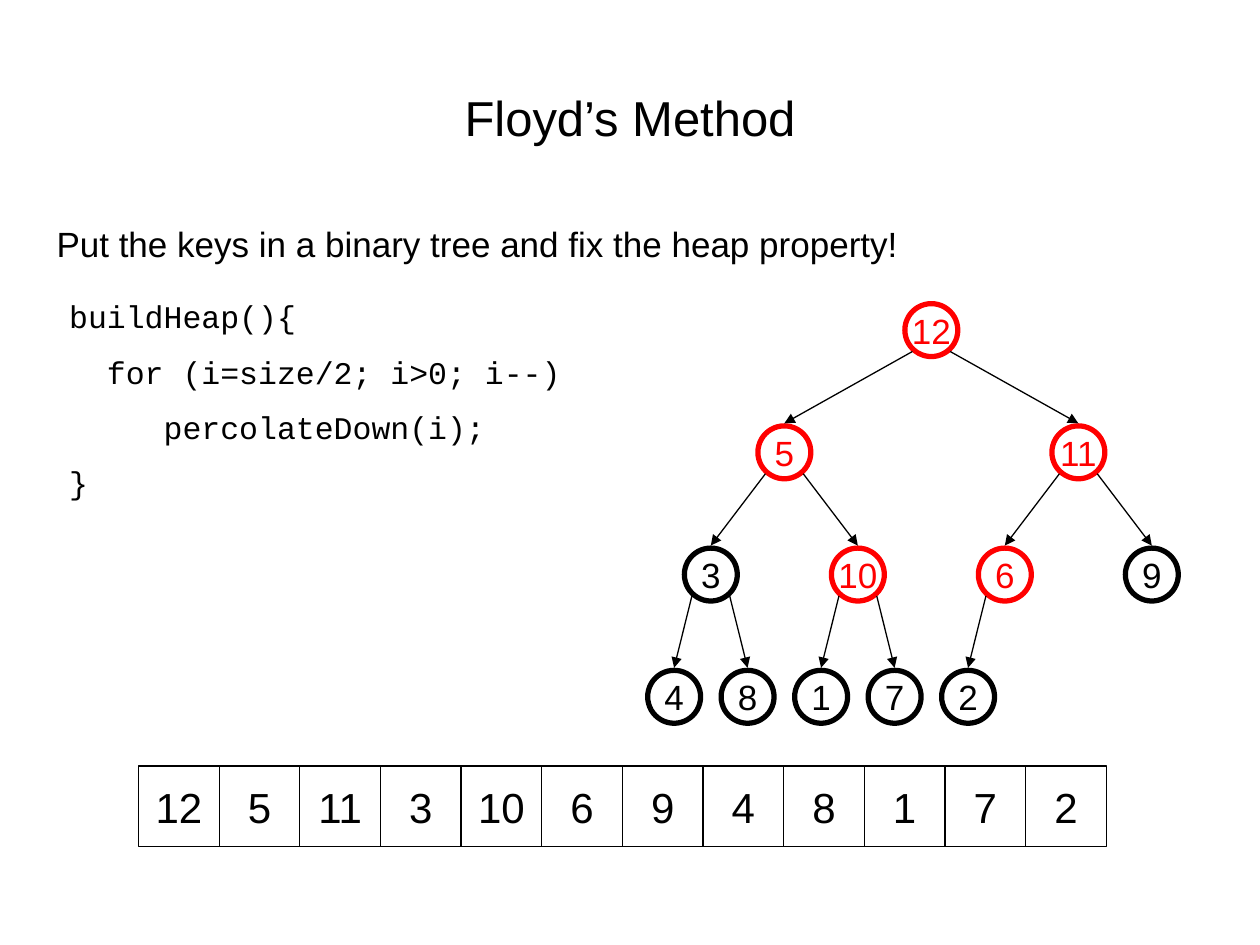
from lxml import etree
from pptx import Presentation
from pptx.dml.color import RGBColor
from pptx.enum.shapes import MSO_CONNECTOR, MSO_SHAPE
from pptx.enum.text import MSO_ANCHOR, PP_ALIGN
from pptx.oxml.ns import qn
from pptx.util import Inches, Pt

CENTER, LEFT = PP_ALIGN.CENTER, PP_ALIGN.LEFT
MIDDLE, TOP = MSO_ANCHOR.MIDDLE, MSO_ANCHOR.TOP
RECTANGLE, OVAL = MSO_SHAPE.RECTANGLE, MSO_SHAPE.OVAL
STRAIGHT = MSO_CONNECTOR.STRAIGHT

TITLE = "Floyd’s Method"
INTRO = "Put the keys in a binary tree and fix the heap property!"
CODE = [
    "buildHeap(){",
    "  for (i=size/2; i>0; i--)",
    "     percolateDown(i);",
    "}",
]
HEAP = [12, 5, 11, 3, 10, 6, 9, 4, 8, 1, 7, 2]
HIGHLIGHTED = {12, 5, 11, 10, 6}

COLORS = {"ink": "000000", "highlight": "FF0000"}
SANS, MONO = "Arial", "Courier New"

SLIDE_WIDTH, SLIDE_HEIGHT = 10, 7.5
CELL_LEFT, CELL_TOP, CELL_SIZE = 1.1, 6.08, 0.64
NODE_SIZE = 0.42
LEAF_LEFT, LEAF_PITCH, LEAF_SLOTS = 5.35, 7 / 12, 8
ROOT_Y, LEVEL_PITCH = 2.62, 0.97
EDGE_OFFSET = 0.15    # from a node's centre to where an edge leaves its rim
EDGE_DROP = 0.17
ARROW_GAP = 0.02


def rgb(name):
    return RGBColor.from_string(COLORS[name])


def write(frame, lines, size, font=SANS, color="ink", align=LEFT,
          anchor=TOP, wrap=True, space=0):
    frame.word_wrap = wrap
    frame.vertical_anchor = anchor
    for index, line in enumerate(lines):
        paragraph = frame.add_paragraph() if index else frame.paragraphs[0]
        paragraph.alignment = align
        paragraph.space_before = Pt(space if index else 0)
        run = paragraph.add_run()
        run.text = line
        run.font.size = Pt(size)
        run.font.name = font
        run.font.color.rgb = rgb(color)


def add_text(slide, box, lines, size, **style):
    shape = slide.shapes.add_textbox(*map(Inches, box))
    write(shape.text_frame, lines, size, **style)


def add_key(group, kind, left, top, side, key, size, line_width, color="ink"):
    """Add one outlined square or circle holding a key."""
    shape = group.shapes.add_shape(
        kind, *map(Inches, (left, top, side, side)))
    shape.shadow.inherit = False
    shape.fill.background()
    shape.line.color.rgb = rgb(color)
    shape.line.width = Pt(line_width)
    frame = shape.text_frame
    frame.margin_left = frame.margin_right = 0
    frame.margin_top = frame.margin_bottom = 0
    write(frame, [str(key)], size, color=color, align=CENTER,
          anchor=MIDDLE, wrap=False)


def add_arrow(group, start, end):
    connector = group.shapes.add_connector(
        STRAIGHT, *map(Inches, (*start, *end)))
    connector.line.color.rgb = rgb("ink")
    connector.line.width = Pt(0.75)
    properties = connector._element.spPr
    etree.SubElement(properties.find(qn("a:ln")), qn("a:tailEnd"),
                     type="triangle")
    etree.SubElement(properties, qn("a:effectLst"))


def node_center(position):
    """Centre of a heap position (from 1), midway over the leaf slots below."""
    level = position.bit_length() - 1
    span = LEAF_SLOTS // 2 ** level
    first_slot = (position - 2 ** level) * span
    return (LEAF_LEFT + LEAF_PITCH * (first_slot + (span - 1) / 2),
            ROOT_Y + LEVEL_PITCH * level)


def add_array(slide):
    group = slide.shapes.add_group_shape()
    for index, key in enumerate(HEAP):
        add_key(group, RECTANGLE, CELL_LEFT + index * CELL_SIZE, CELL_TOP,
                CELL_SIZE, key, 24, 0.75)


def add_tree(slide):
    group = slide.shapes.add_group_shape()
    radius = NODE_SIZE / 2
    for position, key in enumerate(HEAP, start=1):
        x, y = node_center(position)
        color = "highlight" if key in HIGHLIGHTED else "ink"
        add_key(group, OVAL, x - radius, y - radius, NODE_SIZE, key, 20, 3,
                color)
    for position in range(2, len(HEAP) + 1):
        x, y = node_center(position)
        parent_x, parent_y = node_center(position // 2)
        side = 1 if position % 2 else -1
        add_arrow(group,
                  (parent_x + side * EDGE_OFFSET, parent_y + EDGE_DROP),
                  (x, y - radius - ARROW_GAP))


def main():
    presentation = Presentation()
    presentation.slide_width = Inches(SLIDE_WIDTH)
    presentation.slide_height = Inches(SLIDE_HEIGHT)
    slide = presentation.slides.add_slide(presentation.slide_layouts[5])

    title = slide.shapes.title
    title.left, title.top = Inches(0.5), Inches(0.3)
    title.width, title.height = Inches(9), Inches(1.25)
    write(title.text_frame, [TITLE], 28, align=CENTER, anchor=MIDDLE)

    add_array(slide)
    add_text(slide, (0.35, 1.72, 6.92, 0.44), [INTRO], 20, wrap=False)
    add_tree(slide)
    add_text(slide, (0.45, 2.31, 4.75, 1.77), CODE, 18, font=MONO, space=10)
    presentation.save("out.pptx")


if __name__ == "__main__":
    main()
